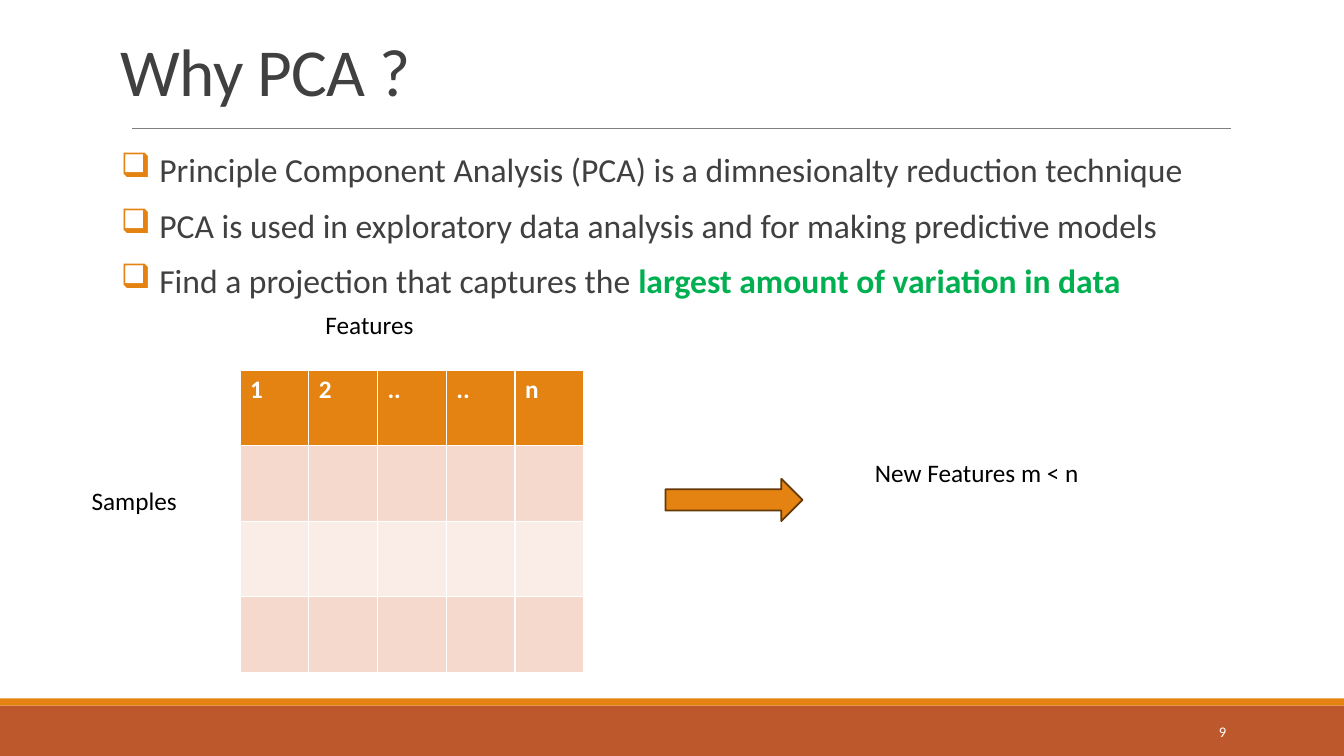
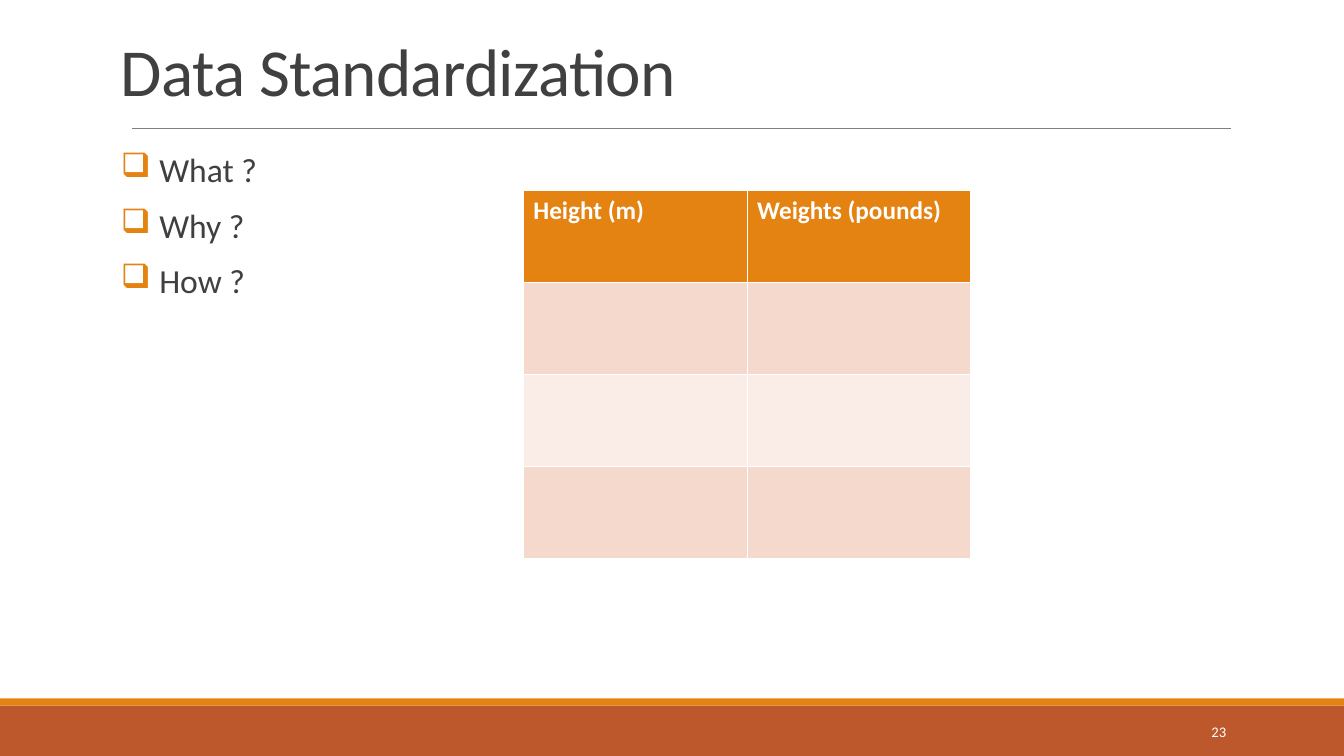
from dataclasses import dataclass

from lxml import etree
from pptx import Presentation
from pptx.dml.color import RGBColor
from pptx.enum import shapes, text
from pptx.oxml import ns
from pptx.util import Inches, Pt


@dataclass(frozen=True)
class Theme:
    font: str = "Calibri"
    white: str = "FFFFFF"
    black: str = "000000"
    ink: str = "404040"
    rule: str = "808080"
    accent: str = "E48312"
    accent_dark: str = "643908"
    footer: str = "BD582C"
    highlight: str = "00B050"
    bands: tuple = ("F5D9CC", "FAEDE7")
    title_size: float = 48
    body_size: float = 24
    label_size: float = 18
    number_size: float = 10.5


T = Theme()
WIDTH, HEIGHT = 13.33, 7.5


def rgb(value):
    return RGBColor.from_string(value)


def box(at):
    return [Inches(v) for v in at]


def sub(parent, tag, **attrs):
    return etree.SubElement(parent, ns.qn(tag), attrs)


def style(p, size, color, bold=False):
    f = p.font
    f.name, f.size, f.bold = T.font, Pt(size), bold
    f.color.rgb = rgb(color)


def add_shape(s, kind, at, fill, line=None, weight=1.25):
    sp = s.shapes.add_shape(kind, *box(at))
    sp.shadow.inherit = False
    sp.fill.solid()
    sp.fill.fore_color.rgb = rgb(fill)
    if line:
        sp.line.color.rgb = rgb(line)
        sp.line.width = Pt(weight)
    else:
        sp.line.fill.background()
    return sp


def add_rule(s, x1, x2, y):
    ln = s.shapes.add_connector(shapes.MSO_CONNECTOR.STRAIGHT,
                                Inches(x1), Inches(y), Inches(x2), Inches(y))
    ln.line.color.rgb = rgb(T.rule)
    ln.line.width = Pt(0.5)
    sub(ln._element.spPr, "a:effectLst")


def add_text(s, at, words, size=T.label_size, color=T.black,
             anchor=text.MSO_ANCHOR.TOP, align=text.PP_ALIGN.LEFT):
    """Add a one-paragraph text box and return its paragraph."""
    tf = s.shapes.add_textbox(*box(at)).text_frame
    tf.word_wrap = True
    tf.vertical_anchor = anchor
    p = tf.paragraphs[0]
    p.text, p.alignment = words, align
    style(p, size, color)
    return p


def add_bullet(p):
    pPr = p._p.get_or_add_pPr()
    pPr.set("marL", str(Inches(0.38)))
    pPr.set("indent", str(-Inches(0.38)))
    sub(sub(pPr, "a:buClr"), "a:srgbClr", val=T.accent)
    sub(pPr, "a:buChar", char="❑")


def add_bullets(s, items):
    """Each item is a list of (words, highlighted) runs."""
    tf = s.shapes.add_textbox(*box((1.2, 1.47, 11, 4.95))).text_frame
    tf.word_wrap = True
    tf.margin_left = tf.margin_right = 0
    for i, runs in enumerate(items):
        p = tf.add_paragraph() if i else tf.paragraphs[0]
        add_bullet(p)
        p.line_spacing = 0.9
        p.space_before = Pt(12 if i else 0)
        p.space_after = Pt(2)
        style(p, T.body_size, T.ink)
        for words, highlighted in runs:
            r = p.add_run()
            r.text = words
            if highlighted:
                r.font.bold = True
                r.font.color.rgb = rgb(T.highlight)


def add_grid(s, at, headers, rows=4):
    """Add a table with a header row above empty banded rows."""
    tbl = s.shapes.add_table(rows, len(headers), *box(at)).table
    for i in range(rows):
        for j, header in enumerate(headers):
            cell = tbl.cell(i, j)
            cell.fill.solid()
            cell.fill.fore_color.rgb = rgb(T.bands[(i - 1) % 2] if i else T.accent)
            if i == 0:
                cell.text = header
                style(cell.text_frame.paragraphs[0], T.label_size, T.white, True)


def add_slide(prs, title, number):
    """Add a slide with the shared bands, title, rule and page number."""
    s = prs.slides.add_slide(prs.slide_layouts[6])
    rect = shapes.MSO_SHAPE.RECTANGLE
    add_shape(s, rect, (0, 7, WIDTH, 0.5), T.footer)
    add_shape(s, rect, (0, 6.93, WIDTH, 0.07), T.accent)
    add_rule(s, 1.31, 12.21, 1.27)
    p = add_text(s, (1.1, 0.06, 11, 1.08), title, T.title_size, T.ink,
                 text.MSO_ANCHOR.BOTTOM)
    p.line_spacing = 0.85
    p.runs[0]._r.get_or_add_rPr().set("spc", "-50")
    add_text(s, (10.83, 7.06, 1.43, 0.4), str(number), T.number_size, T.white,
             text.MSO_ANCHOR.MIDDLE, text.PP_ALIGN.RIGHT)
    return s


def why_pca(prs):
    s = add_slide(prs, "Why PCA ?", 9)
    add_bullets(s, [
        [("Principle Component Analysis (PCA) is a dimnesionalty reduction technique", False)],
        [("PCA is used in exploratory data analysis and for making predictive models", False)],
        [("Find a projection that captures the ", False),
         ("largest amount of variation in data", True)],
    ])
    add_grid(s, (2.38, 3.67, 3.41, 3), ["1", "2", "..", "..", "n"])
    add_text(s, (3.13, 3.02, 1.47, 0.4), "Features")
    add_text(s, (0.81, 4.77, 1.4, 0.4), "Samples")
    add_shape(s, shapes.MSO_SHAPE.RIGHT_ARROW, (6.6, 4.75, 1.36, 0.42),
              T.accent, T.accent_dark)
    add_text(s, (8.58, 4.49, 2.3, 0.4), "New Features m < n")


def data_standardization(prs):
    s = add_slide(prs, "Data Standardization", 23)
    add_bullets(s, [[(words, False)] for words in ("What ?", "Why ?", "How ?")])
    add_grid(s, (5.19, 1.89, 4.44, 3.65), ["Height (m)", "Weights (pounds)"])


def main():
    prs = Presentation()
    prs.slide_width, prs.slide_height = Inches(WIDTH), Inches(HEIGHT)
    why_pca(prs)
    data_standardization(prs)
    prs.save("out.pptx")


if __name__ == "__main__":
    main()
